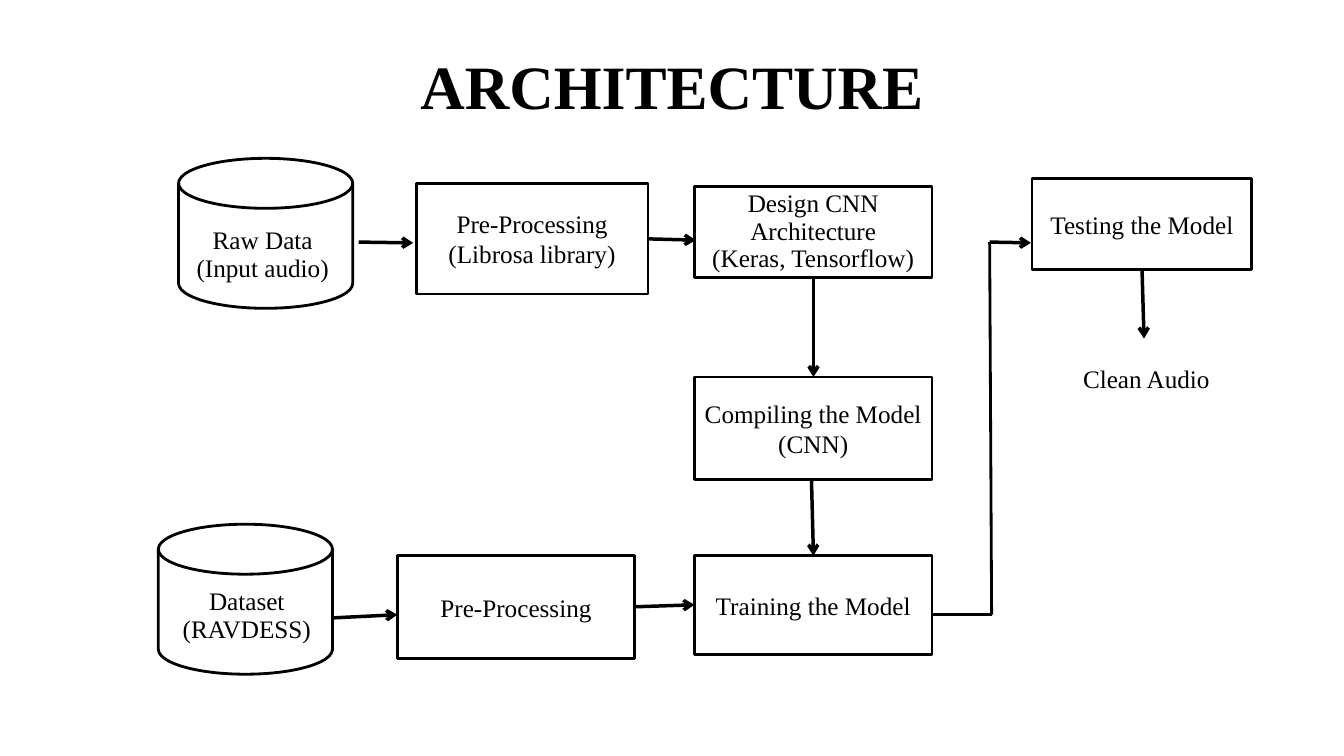
from lxml.etree import SubElement
from pptx import Presentation
from pptx.dml.color import RGBColor
from pptx.enum.shapes import MSO_CONNECTOR as Connector, MSO_SHAPE as Shape
from pptx.enum.text import MSO_ANCHOR as Anchor, PP_ALIGN as Align
from pptx.oxml.ns import qn
from pptx.util import Cm, Pt

BLACK = RGBColor(0x00, 0x00, 0x00)
WHITE = RGBColor(0xFF, 0xFF, 0xFF)
FONT = "Times New Roman"
NO_STYLE_NO_GRID = "{2D5ABB26-0587-4C30-8999-92F81FD0307C}"
COLUMN, STEP_WIDTH = 17.5, 5.99  # the CNN steps stand in one column


def write(frame, lines, size=18, bold=False, spacing=None):
    """Fill a text frame with one centred paragraph per line."""
    for number, line in enumerate(lines):
        paragraph = frame.add_paragraph() if number else frame.paragraphs[0]
        paragraph.alignment = Align.CENTER
        paragraph.line_spacing = spacing
        run = paragraph.add_run()
        run.text = line
        run.font.name = FONT
        run.font.size = Pt(size)
        run.font.bold = bold
        run.font.color.rgb = BLACK


def add_outlined(kind, *box):
    outlined = slide.shapes.add_shape(kind, *map(Cm, box))
    outlined.shadow.inherit = False
    outlined.fill.solid()
    outlined.fill.fore_color.rgb = WHITE
    outlined.line.color.rgb = BLACK
    outlined.line.width = Pt(2)
    return outlined


deck = Presentation()
deck.slide_width, deck.slide_height = Cm(33.87), Cm(19.05)
slide = deck.slides.add_slide(deck.slide_layouts[5])

title = slide.shapes.title
title.left, title.top, title.width, title.height = map(Cm, (1.7, 0.76, 30.48, 2.77))
title.text_frame.vertical_anchor = Anchor.MIDDLE
write(title.text_frame, ["ARCHITECTURE"], size=44, bold=True)

# Data stores
for left, top in [(4.5, 3.99), (3.99, 13.21)]:
    add_outlined(Shape.FLOWCHART_MAGNETIC_DISK, left, top, 4.39, 3.78)

# Processing steps: lines, line spacing, box; the design step is set tighter to hold three lines
steps = [
    (["Pre-Processing", "(Librosa library)"], None, 10.49, 4.62, 5.84, 2.79),
    (["Design CNN Architecture", "(Keras, Tensorflow)"], 0.9, COLUMN, 4.7, STEP_WIDTH, 2.29),
    (["Compiling the Model", "(CNN)"], None, COLUMN, 9.5, STEP_WIDTH, 2.59),
    (["Training the Model"], None, COLUMN, 14, STEP_WIDTH, 2.49),
    (["Pre-Processing"], None, 10.01, 14, STEP_WIDTH, 2.59),
    (["Testing the Model"], None, 26.01, 4.5, 5.54, 2.29),
]
for lines, spacing, *box in steps:
    step = add_outlined(Shape.RECTANGLE, *box)
    step.text_frame.word_wrap = True
    step.text_frame.vertical_anchor = Anchor.MIDDLE
    write(step.text_frame, lines, spacing=spacing)

# Input and output labels, each a one-cell table
labels = [
    (["Raw Data", "(Input audio)"], 4.22, 5.59, 4.8, 1.65),
    (["Dataset (RAVDESS)"], 4.06, 14.68, 4.32, 1.65),
    (["Clean Audio"], 25.65, 9.09, 6.48, 1.52),
]
for lines, *box in labels:
    label = slide.shapes.add_table(1, 1, *map(Cm, box)).table
    label.first_row = label.horz_banding = False
    label._tbl.tblPr.find(qn("a:tableStyleId")).text = NO_STYLE_NO_GRID
    cell = label.cell(0, 0)
    cell.fill.background()
    write(cell.text_frame, lines)

# Flow: start, end, arrowhead
flow = [
    ((9.04, 6.1), (10.41, 6.12), True),
    ((16.36, 6.02), (17.53, 6.05), True),
    ((20.5, 6.99), (20.5, 9.5), True),
    ((20.45, 12.09), (20.5, 14), True),
    ((8.38, 15.57), (10.01, 15.49), True),
    ((16, 15.29), (17.5, 15.24), True),
    ((23.5, 15.49), (24.99, 15.49), False),
    ((24.94, 6.1), (24.99, 15.49), False),
    ((24.94, 6.1), (25.98, 6.12), True),
    ((28.78, 6.78), (28.83, 8.53), True),
]
for start, end, has_arrow in flow:
    link = slide.shapes.add_connector(Connector.STRAIGHT, *map(Cm, start + end))
    link.line.color.rgb = BLACK
    link.line.width = Pt(2.5 if has_arrow else 2)
    if has_arrow:
        SubElement(link.line._get_or_add_ln(), qn("a:tailEnd"), type="arrow")
    SubElement(link._element.spPr, qn("a:effectLst"))

deck.save("out.pptx")
